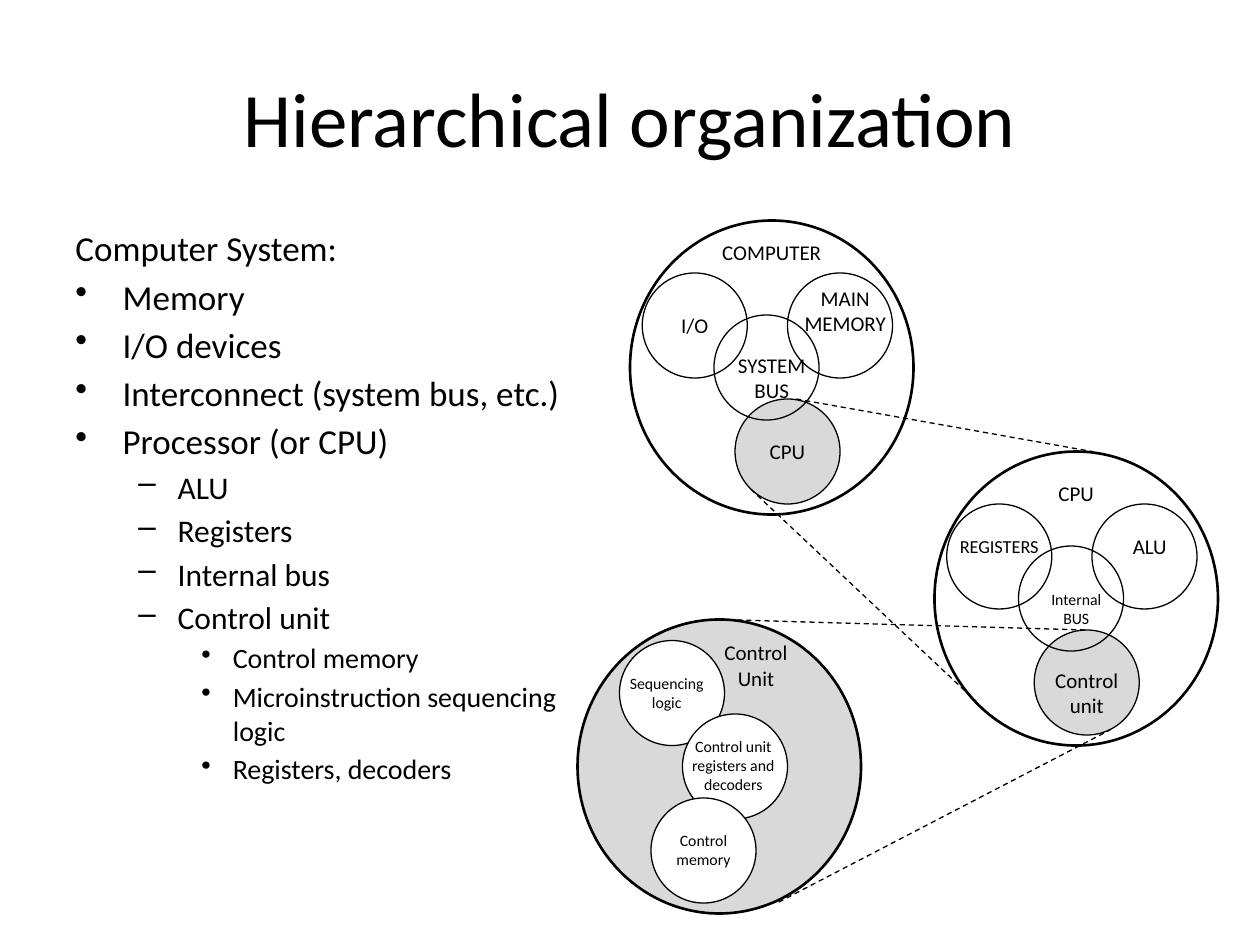
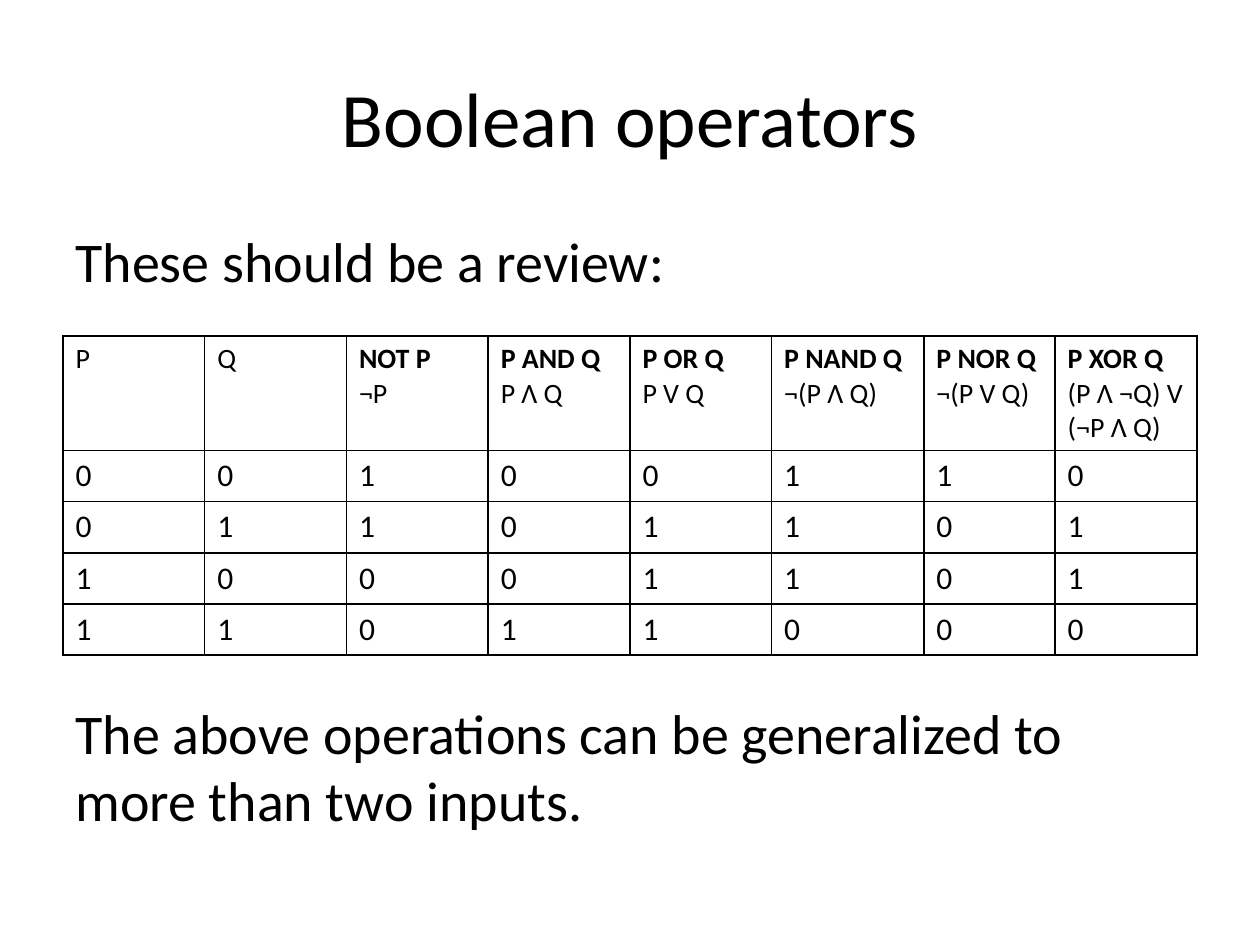
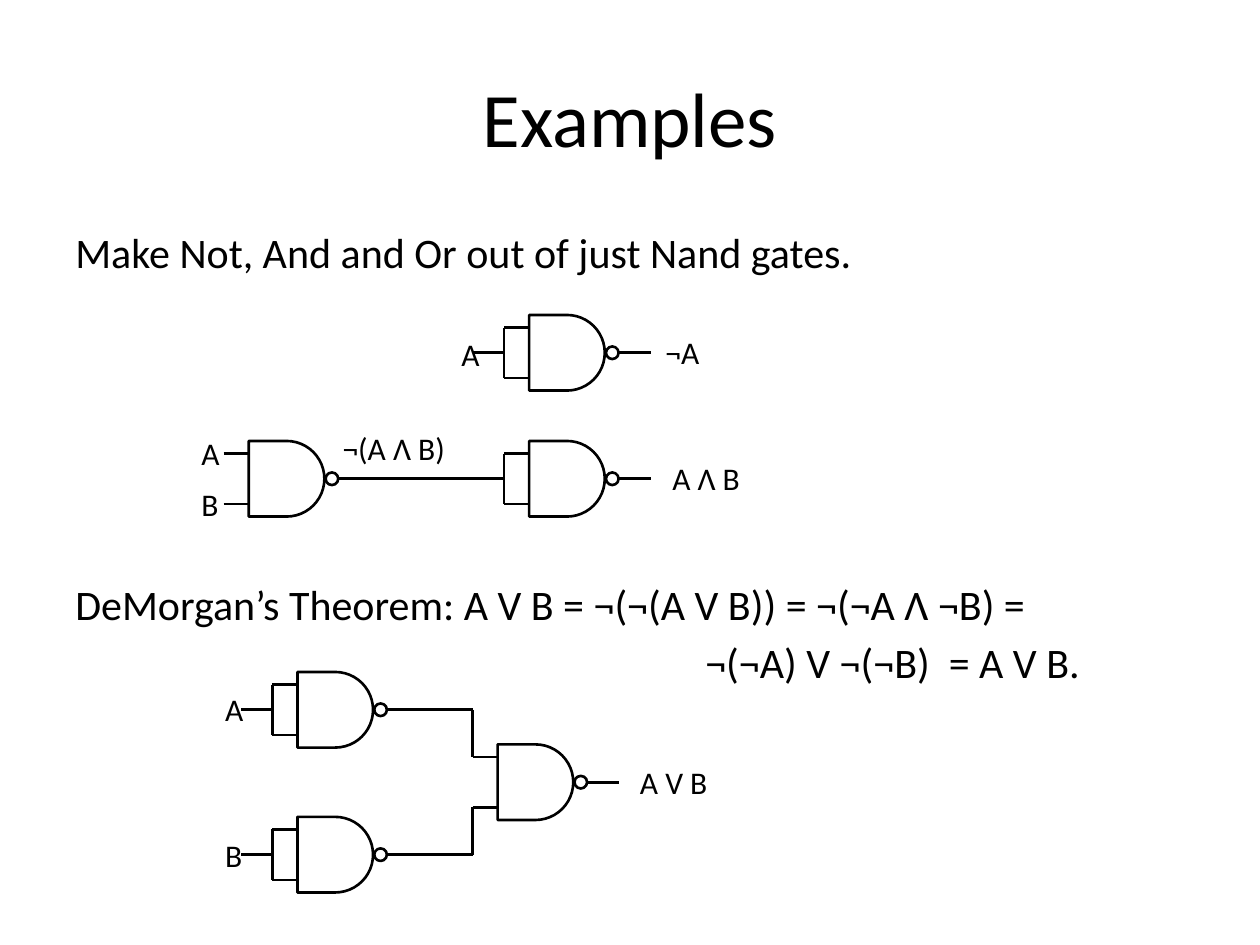
from pptx import Presentation
from pptx.dml.color import RGBColor
from pptx.enum.dml import MSO_LINE
from pptx.enum.shapes import MSO_CONNECTOR, MSO_SHAPE
from pptx.enum.text import MSO_ANCHOR, PP_ALIGN
from pptx.oxml.ns import qn
from pptx.util import Pt
from lxml import etree

BLACK = RGBColor(0, 0, 0)
WHITE = RGBColor(255, 255, 255)
GRAY = RGBColor(0xD9, 0xD9, 0xD9)
FONT = "Calibri"
CENTER, MIDDLE, DASH = PP_ALIGN.CENTER, MSO_ANCHOR.MIDDLE, MSO_LINE.DASH
OVAL, DELAY = MSO_SHAPE.OVAL, MSO_SHAPE.FLOWCHART_DELAY
STRAIGHT = MSO_CONNECTOR.STRAIGHT
EDGE, WIDE, TOP = 36, 648, 126

# Outline levels: size, left indent, hang, bullet
PLAIN = (20, 0, 0, None)
ITEM = (20, 27, 27, "•")
SUB = (18, 58.5, 22.5, "–")
DEEP = (16, 90, 18, "•")

# Slide 1: outline, then circles whose parts are placed from their top left
PARTS = [
    ("Computer System:", PLAIN),
    ("Memory", ITEM),
    ("I/O devices", ITEM),
    ("Interconnect (system bus, etc.)", ITEM),
    ("Processor (or CPU)", ITEM),
    ("ALU", SUB),
    ("Registers", SUB),
    ("Internal bus", SUB),
    ("Control unit", SUB),
    ("Control memory", DEEP),
    ("Microinstruction sequencing logic", DEEP),
    ("Registers, decoders", DEEP),
]
BIG_W, BIG_H, SMALL = 162, 168, 60
SYSTEMS = [
    dict(at=(360, 126), fill=None,
         rings=[(7, 30, None), (90, 30, None), (60, 102, GRAY), (48, 54, None)],
         tags=[("COMPUTER", 81, 18, 12), ("MAIN MEMORY", 123, 51.5, 12),
               ("I/O", 37, 60, 12), ("SYSTEM\nBUS", 81, 90, 12),
               ("CPU", 90, 132, 12)]),
    dict(at=(534, 258), fill=None,
         rings=[(7, 30, None), (90, 30, None), (57, 102, GRAY), (48, 54, None)],
         tags=[("CPU", 81, 24, 12), ("REGISTERS", 37, 54, 10.5),
               ("ALU", 123, 54, 12), ("Internal\nBUS", 81, 90, 9),
               ("Control\nunit", 87, 138, 12)]),
    dict(at=(330, 354), fill=GRAY,
         rings=[(24, 12, WHITE), (60, 54, WHITE), (42, 102, WHITE)],
         tags=[("Control\nUnit", 102, 26, 12), ("Sequencing\nlogic", 51, 42, 9),
               ("Control unit registers and decoders", 89, 83, 9),
               ("Control\nmemory", 72, 131.5, 9)]),
]
ZOOMS = [(455, 228, 624, 258), (429, 279.5, 558, 401),
         (411, 354, 620.5, 360), (445, 515.5, 634.5, 417)]

# Slide 2: truth table
HEADS = ["P", "Q", "NOT P\n¬P", "P AND Q\nP Λ Q", "P OR Q\nP V Q",
         "P NAND Q\n¬(P Λ Q)", "P NOR Q\n¬(P V Q)",
         "P XOR Q\n(P Λ ¬Q) V (¬P Λ Q)"]
BITS = ["00100110", "01101101", "10001101", "11011000"]
COLS = [81] * 5 + [87, 75, 81]

# Slide 3: gates as left, top, end of output, tied inputs, lead length
GATE, LEG, DOT, LEAD = 43.2, 14.4, 7.2, 18
JOIN, HIGH, LOW = 270, 384, 466.8
MID = (HIGH + LOW) / 2
GATES = [
    (302.4, 180, 372, True, LEAD),
    (142.2, 252, 288, False, 0),
    (302.4, 252, 372, True, 0),
    (170, HIGH, JOIN, True, LEAD),
    (170, LOW, JOIN, True, LEAD),
    (JOIN + LEG, MID, 354, False, 0),
]
SIGNS = [  # text, centre, width
    ("A", 264, 202, 15), ("¬A", 390, 201, 36),
    ("A", 115.5, 259, 15), ("B", 115.5, 288, 15),
    ("¬(A Λ B)", 225, 256, 92), ("A Λ B", 403.5, 273, 64),
    ("A", 129, 405, 15), ("B", 129, 488.5, 15), ("A V B", 385, 447, 64),
]

deck = Presentation()
deck.slide_width, deck.slide_height = Pt(720), Pt(540)


# Shared helpers
def style(para, size, bold=False):
    font = para.font
    font.name, font.size, font.bold = FONT, Pt(size), bold
    font.color.rgb = BLACK


def start(text):
    page = deck.slides.add_slide(deck.slide_layouts[5])
    head = page.shapes.title
    head.left, head.top, head.width, head.height = (
        Pt(v) for v in (EDGE, 21.6, WIDE, 90))
    head.text_frame.text = text
    head.text_frame.vertical_anchor = MIDDLE
    para = head.text_frame.paragraphs[0]
    para.alignment = CENTER
    style(para, 44)
    return page


def frame(page, x, y, w, h):
    box = page.shapes.add_textbox(Pt(x), Pt(y), Pt(w), Pt(h))
    box.text_frame.word_wrap = True
    return box.text_frame


def body(page, w, h, rows):
    """Rows hold text, level and, if not the usual one, the gap above."""
    text = frame(page, EDGE, TOP, w, h)
    text.text = "\n".join(row[0] for row in rows)
    for para, (_, level, *gap) in zip(text.paragraphs, rows):
        size, left, hang, mark = level
        style(para, size)
        para.space_before = Pt(gap[0] if gap else size * 0.18)
        props = para._p.get_or_add_pPr()
        props.set("marL", str(Pt(left)))
        props.set("indent", str(-Pt(hang)))
        if mark:
            etree.SubElement(props, qn("a:buChar")).set("char", mark)


def label(page, text, x, y, w, h, size):
    """Centre a label on x, y."""
    tag = frame(page, x - w / 2, y - h / 2, w, h)
    tag.margin_top = tag.margin_bottom = 0
    tag.vertical_anchor = MIDDLE
    tag.text = text
    for para in tag.paragraphs:
        para.alignment = CENTER
        style(para, size)


def shape(page, kind, x, y, w, h, fill, width):
    form = page.shapes.add_shape(kind, Pt(x), Pt(y), Pt(w), Pt(h))
    form.shadow.inherit = False
    if fill is None:
        form.fill.background()
    else:
        form.fill.solid()
        form.fill.fore_color.rgb = fill
    form.line.color.rgb = BLACK
    form.line.width = Pt(width)


def wire(page, x1, y1, x2, y2, width=1.5, dash=None):
    link = page.shapes.add_connector(STRAIGHT, Pt(x1), Pt(y1), Pt(x2), Pt(y2))
    link.line.color.rgb = BLACK
    link.line.width = Pt(width)
    if dash:
        link.line.dash_style = dash
    etree.SubElement(link._element.spPr, qn("a:effectLst"))


def border(cell):
    props = cell._tc.get_or_add_tcPr()
    for side in ("lnL", "lnR", "lnT", "lnB"):
        line = etree.SubElement(props, qn("a:" + side), w=str(Pt(1)))
        fill = etree.SubElement(line, qn("a:solidFill"))
        etree.SubElement(fill, qn("a:srgbClr"), val=str(BLACK))


def gate(page, x, y, end, tied, lead):
    """Draw a NAND gate with its wires."""
    mid, back = y + GATE / 2, x - LEG
    ports = (y + GATE / 6, y + GATE * 5 / 6)
    shape(page, DELAY, x, y, GATE, GATE, None, 1.5)
    wire(page, x + GATE, mid, end, mid)
    for port in ports:
        wire(page, back, port, x, port)
    shape(page, OVAL, x + GATE + 0.7, mid - DOT / 2, DOT, DOT, WHITE, 1.5)
    if tied:
        wire(page, back, ports[0], back, ports[1])
    if lead:
        wire(page, back, mid, back - lead, mid)


# Slide 1
page = start("Hierarchical organization")
body(page, 294, 356, PARTS)
for item in SYSTEMS:
    x, y = item["at"]
    shape(page, OVAL, x, y, BIG_W, BIG_H, item["fill"], 1.5)
    for dx, dy, fill in item["rings"]:
        shape(page, OVAL, x + dx, y + dy, SMALL, SMALL, fill, 0.75)
for ends in ZOOMS:
    wire(page, *ends, width=0.75, dash=DASH)
for item in SYSTEMS:
    x, y = item["at"]
    for text, dx, dy, size in item["tags"]:
        label(page, text, x + dx, y + dy, 78, 12, size)

# Slide 2
page = start("Boolean operators")
large = (32, 0, 0, None)
body(page, WIDE, 366, [
    ("These should be a review:", large),
    ("The above operations can be generalized to more than two inputs.",
     large, 231),
])
rows = [HEADS] + BITS
grid = page.shapes.add_table(len(rows), len(COLS), Pt(EDGE), Pt(192),
                             Pt(WIDE), Pt(182)).table
grid.first_row = grid.horz_banding = False
for col, w in zip(grid.columns, COLS):
    col.width = Pt(w)
for r, row in enumerate(rows):
    grid.rows[r].height = Pt(29.2 if r else 65.5)
    for c, text in enumerate(row):
        cell = grid.cell(r, c)
        border(cell)
        cell.fill.background()
        cell.text_frame.text = text
        paras = cell.text_frame.paragraphs
        for n, para in enumerate(paras):
            style(para, 18 if r else 16, n == 0 and len(paras) > 1)

# Slide 3
page = start("Examples")
note = (24, 0, 0, None)
body(page, WIDE, 288, [
    ("Make Not, And and Or out of just Nand gates.", note),
    ("DeMorgan’s Theorem: A V B = ¬(¬(A V B)) = ¬(¬A Λ ¬B) =", note, 172.5),
    ("¬(¬A) V ¬(¬B)  = A V B.", (24, 360, 0, None)),
])
for item in GATES:
    gate(page, *item)
wire(page, JOIN, HIGH + GATE / 2, JOIN, MID + GATE / 6)
wire(page, JOIN, MID + GATE * 5 / 6, JOIN, LOW + GATE / 2)
for text, x, y, w in SIGNS:
    label(page, text, x, y, w, 18, 18)

deck.save("out.pptx")
